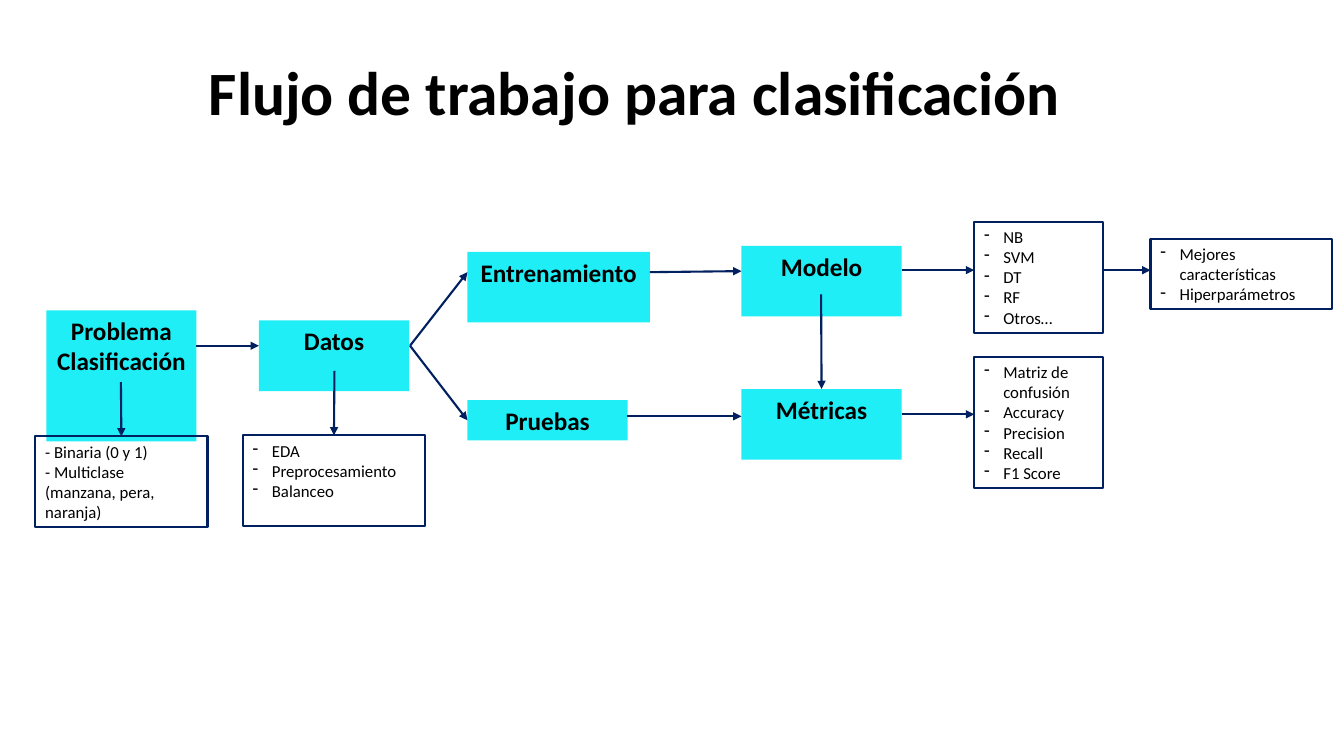
from lxml import etree
from pptx import Presentation
from pptx.dml.color import RGBColor
from pptx.enum import shapes, text
from pptx.oxml import ns
from pptx.util import Inches, Pt

CYAN = RGBColor(0x20, 0xEE, 0xF6)
NAVY = RGBColor(0x00, 0x20, 0x60)
BLACK = RGBColor(0, 0, 0)
TOP, LEFT = 0, 1


class FlowSlide:
    font = "Calibri"
    line_width = Pt(1.5)
    indent = Inches(0.19)

    def __init__(self, slide):
        self.slide = slide

    def set_text(self, shape, lines, size, bold=False, centered=False, dashes=False):
        frame = shape.text_frame
        frame.word_wrap = True
        frame.vertical_anchor = text.MSO_ANCHOR.TOP
        frame.text = "\n".join(lines)
        for paragraph in frame.paragraphs:
            paragraph.alignment = text.PP_ALIGN.CENTER if centered else text.PP_ALIGN.LEFT
            if dashes:
                properties = paragraph._p.get_or_add_pPr()
                properties.set("marL", str(self.indent))
                properties.set("indent", str(-self.indent))
                etree.SubElement(properties, ns.qn("a:buChar")).set("char", "-")
            paragraph.font.name = self.font
            paragraph.font.size = Pt(size)
            paragraph.font.bold = bold
            paragraph.font.color.rgb = BLACK

    def title(self, wording, left, top, width, height):
        box = self.slide.shapes.add_textbox(
            Inches(left), Inches(top), Inches(width), Inches(height))
        self.set_text(box, [wording], 44, bold=True, centered=True)
        box.text_frame.vertical_anchor = text.MSO_ANCHOR.MIDDLE
        box.text_frame.paragraphs[0].line_spacing = 0.9

    def rectangle(self, left, top, width, height):
        shape = self.slide.shapes.add_shape(
            shapes.MSO_SHAPE.RECTANGLE,
            Inches(left), Inches(top), Inches(width), Inches(height))
        shape.shadow.inherit = False
        return shape

    def step(self, name, left, top, width, height=0.7):
        shape = self.rectangle(left, top, width, height)
        shape.fill.solid()
        shape.fill.fore_color.rgb = CYAN
        shape.line.fill.background()
        self.set_text(shape, [name], 18, bold=True, centered=True)
        return shape

    def detail(self, lines, left, top, width, height, dashes=True):
        shape = self.rectangle(left, top, width, height)
        shape.fill.background()
        shape.line.color.rgb = NAVY
        shape.line.width = self.line_width
        self.set_text(shape, lines, 12, dashes=dashes)
        return shape

    def arrow(self, x1, y1, x2, y2, target=None, side=None):
        connector = self.slide.shapes.add_connector(
            shapes.MSO_CONNECTOR.STRAIGHT,
            Inches(x1), Inches(y1), Inches(x2), Inches(y2))
        connector.line.color.rgb = NAVY
        connector.line.width = self.line_width
        line = connector._element.spPr.find(ns.qn("a:ln"))
        etree.SubElement(line, ns.qn("a:tailEnd")).set("type", "triangle")
        etree.SubElement(connector._element.spPr, ns.qn("a:effectLst"))
        if target is not None:
            connector.end_connect(target, side)


def main():
    presentation = Presentation()
    presentation.slide_width = Inches(13.34)
    presentation.slide_height = Inches(7.5)
    flow = FlowSlide(presentation.slides.add_slide(presentation.slide_layouts[6]))

    flow.title("Flujo de trabajo para clasificación", 0.78, 0.33, 11.05, 1.24)

    # Steps of the workflow
    flow.step("Problema Clasificación", 0.46, 3.08, 1.49, 1.3)
    flow.step("Datos", 2.57, 3.18, 1.49)
    flow.step("Entrenamiento", 4.64, 2.5, 1.81)
    tests = flow.step("Pruebas", 4.64, 3.97, 1.59, 0.4)
    flow.step("Modelo", 7.36, 2.44, 1.59)
    metrics = flow.step("Métricas", 7.36, 3.86, 1.59)

    # Details of each step
    problem_types = flow.detail(
        ["- Binaria (0 y 1)", "- Multiclase (manzana, pera, naranja)"],
        0.35, 4.33, 1.71, 0.9, dashes=False)
    data_tasks = flow.detail(
        ["EDA", "Preprocesamiento", "Balanceo"], 2.41, 4.32, 1.81, 0.9)
    flow.detail(["NB", "SVM", "DT", "RF", "Otros…"], 9.67, 2.2, 1.28, 1.1)
    flow.detail(["Matriz de confusión", "Accuracy", "Precision", "Recall", "F1 Score"],
                9.67, 3.54, 1.28, 1.3)
    flow.detail(["Mejores características", "Hiperparámetros"], 11.42, 2.37, 1.8, 0.7)

    # Arrows joined to the middle of a side
    flow.arrow(1.2, 3.79, 1.2, 4.33, problem_types, TOP)
    flow.arrow(3.32, 3.68, 3.32, 4.32, data_tasks, TOP)
    flow.arrow(4.07, 3.43, 4.64, 4.17, tests, LEFT)
    flow.arrow(8.15, 2.92, 8.15, 3.86, metrics, TOP)

    # Free arrows between steps and details
    for ends in [
        (1.95, 3.43, 2.57, 3.43),
        (4.07, 3.43, 4.64, 2.7),
        (6.45, 2.7, 7.36, 2.69),
        (6.22, 4.13, 7.36, 4.13),
        (8.95, 2.68, 9.67, 2.68),
        (8.95, 4.11, 9.67, 4.11),
        (10.95, 2.68, 11.42, 2.68),
    ]:
        flow.arrow(*ends)

    presentation.save("out.pptx")


if __name__ == "__main__":
    main()
